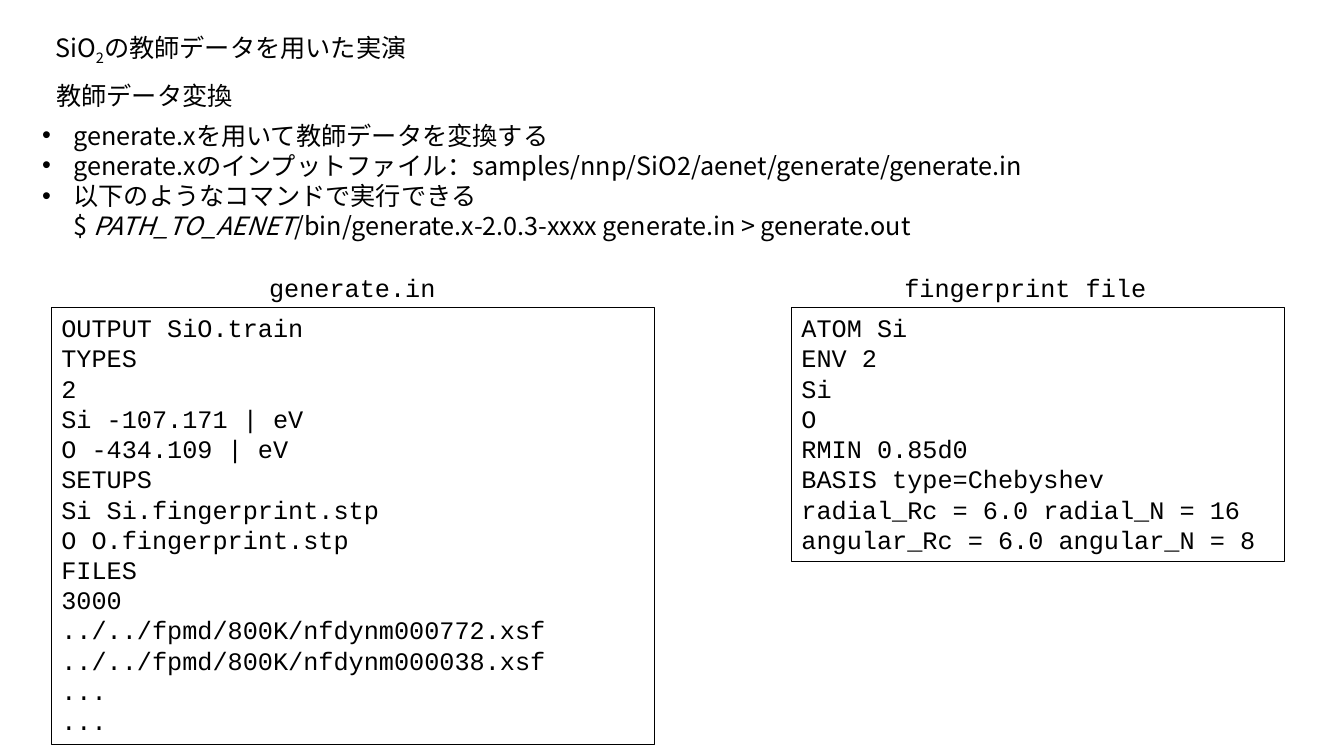
from lxml import etree
from pptx import Presentation
from pptx import util as u
from pptx.dml.color import RGBColor
from pptx.enum import shapes, text
from pptx.oxml.ns import qn

PX = 9144
BLACK = RGBColor(0, 0, 0)
SANS = "Noto Sans CJK JP"
MONO = "Courier New"


class SlideBuilder:
    def __init__(self, slide, size=18, color=BLACK):
        self.slide = slide
        self.size = u.Pt(size)
        self.color = color

    def box(self, left, top, width, height):
        return [u.Emu(length * PX) for length in (left, top, width, height)]

    def fill_text(self, shape, paragraphs, font, bullet_indent=0):
        frame = shape.text_frame
        frame.word_wrap = True
        frame.auto_size = text.MSO_AUTO_SIZE.SHAPE_TO_FIT_TEXT
        frame.vertical_anchor = text.MSO_ANCHOR.TOP
        for index, pieces in enumerate(paragraphs):
            paragraph = frame.add_paragraph() if index else frame.paragraphs[0]
            paragraph.alignment = text.PP_ALIGN.LEFT
            self.style(paragraph, font)
            if bullet_indent:
                self.bullet(paragraph, bullet_indent * PX)
            for piece in [pieces] if isinstance(pieces, str) else pieces:
                self.piece(paragraph, piece)

    def style(self, paragraph, font):
        paragraph.font.size = self.size
        paragraph.font.color.rgb = self.color
        paragraph.font.name = font
        latin = paragraph._p.pPr.find(".//" + qn("a:latin"))
        east_asian = etree.Element(qn("a:ea"), typeface=font)
        latin.addnext(east_asian)

    def bullet(self, paragraph, indent):
        properties = paragraph._p.pPr
        properties.set("marL", str(indent))
        properties.set("indent", str(-indent))
        properties.insert(0, etree.Element(qn("a:buFont"), typeface="Arial"))
        properties.insert(1, etree.Element(qn("a:buChar"), char="•"))

    def piece(self, paragraph, piece):
        words, look = (piece, "") if isinstance(piece, str) else piece
        if words == "\n":
            paragraph.add_line_break()
            return
        run = paragraph.add_run()
        run.text = words
        if look == "italic":
            run.font.italic = True
        if look == "subscript":
            run._r.get_or_add_rPr().set("baseline", "-25000")

    def label(self, place, paragraphs, font=SANS, bullet_indent=0):
        shape = self.slide.shapes.add_textbox(*self.box(*place))
        self.fill_text(shape, paragraphs, font, bullet_indent)

    def listing(self, place, lines):
        shape = self.slide.shapes.add_shape(
            shapes.MSO_SHAPE.RECTANGLE, *self.box(*place))
        shape.shadow.inherit = False
        shape.fill.background()
        shape.line.color.rgb = self.color
        shape.line.width = u.Pt(0.75)
        self.fill_text(shape, lines, MONO)


def main():
    deck = Presentation()
    deck.slide_width = u.Emu(1333 * PX)
    deck.slide_height = u.Emu(750 * PX)
    page = SlideBuilder(deck.slides.add_slide(deck.slide_layouts[6]))

    page.label((45, 27, 603, 40),
               [["SiO", ("2", "subscript"), "の教師データを用いた実演"]])
    page.label((46, 75, 603, 40), ["教師データ変換"])
    page.label((32, 114, 1242, 131), [
        "generate.xを用いて教師データを変換する",
        "generate.xのインプットファイル：samples/nnp/SiO2/aenet/generate/generate.in",
        ["以下のようなコマンドで実行できる", "\n", "$ ",
         ("PATH_TO_AENET", "italic"),
         "/bin/generate.x-2.0.3-xxxx generate.in > generate.out"],
    ], bullet_indent=31)

    page.label((257, 265, 197, 40), ["generate.in"], MONO)
    page.listing((51, 305, 598, 434), [
        "OUTPUT SiO.train",
        "TYPES",
        "2",
        "Si -107.171 | eV",
        "O -434.109 | eV",
        "SETUPS",
        "Si Si.fingerprint.stp",
        "O O.fingerprint.stp",
        "FILES",
        "3000",
        "../../fpmd/800K/nfdynm000772.xsf",
        "../../fpmd/800K/nfdynm000038.xsf",
        "...",
        "...",
    ])

    page.label((887, 265, 275, 40), ["fingerprint file"], MONO)
    page.listing((785, 305, 489, 252), [
        "ATOM Si",
        "ENV 2",
        "Si",
        "O",
        "RMIN 0.85d0",
        "BASIS type=Chebyshev",
        "radial_Rc = 6.0 radial_N = 16 angular_Rc = 6.0 angular_N = 8",
    ])

    deck.save("out.pptx")


if __name__ == "__main__":
    main()
